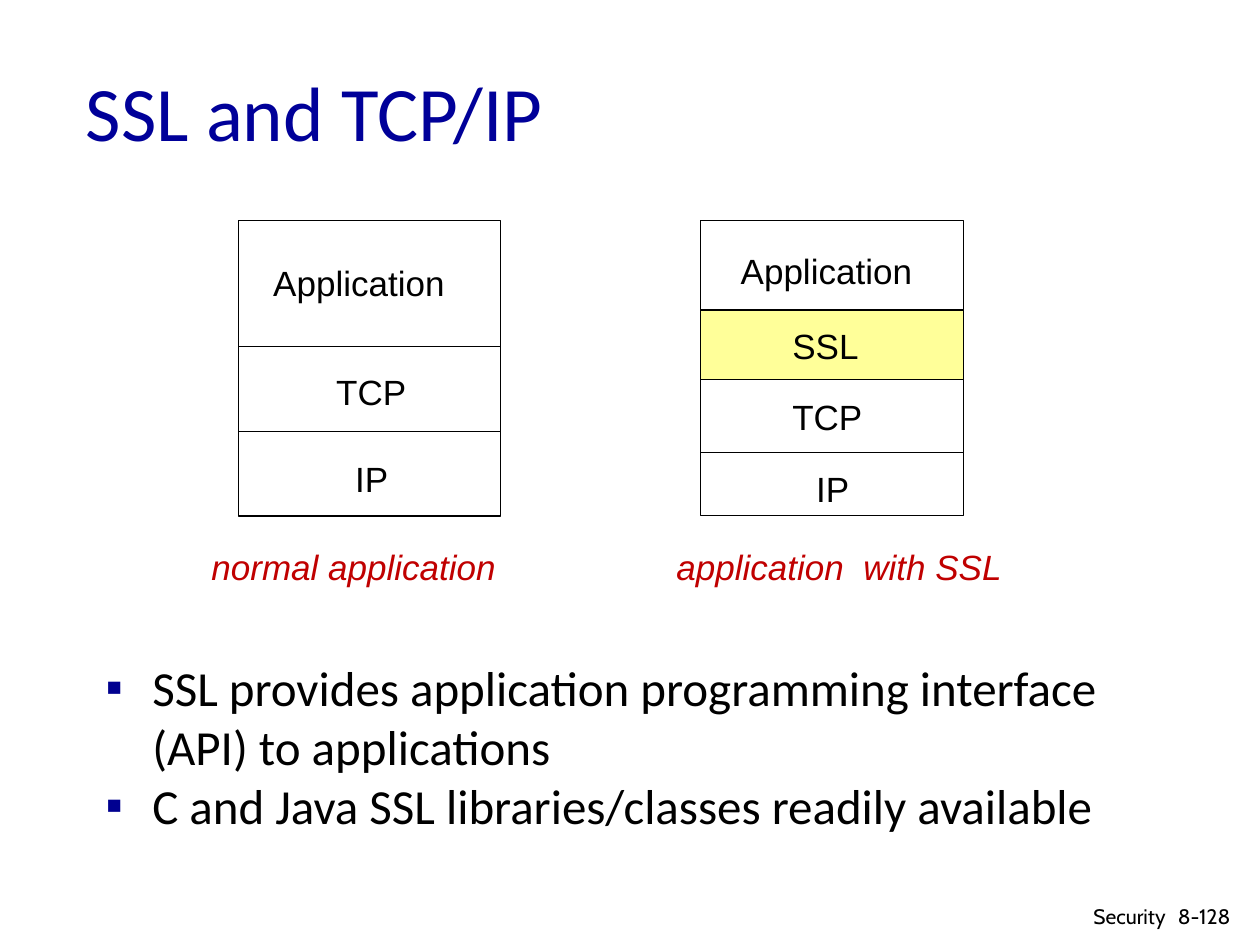
from lxml.etree import SubElement
from pptx import Presentation
from pptx.dml.color import RGBColor
from pptx.enum.shapes import MSO_SHAPE as Shape
from pptx.enum.text import MSO_ANCHOR as Anchor, PP_ALIGN as Align
from pptx.oxml.ns import qn
from pptx.util import Inches, Pt

deck = Presentation()
deck.slide_width, deck.slide_height = Inches(10), Inches(7.5)
COL, ROW = deck.slide_width / 100, deck.slide_height / 75
slide = deck.slides.add_slide(deck.slide_layouts[5])


def cells(left, top, width, height):
    return int(left * COL), int(top * ROW), int(width * COL), int(height * ROW)


def write(frame, lines, color, wrap=True, align=Align.LEFT, **style):
    frame.word_wrap = wrap
    for number, line in enumerate(lines):
        paragraph = frame.add_paragraph() if number else frame.paragraphs[0]
        paragraph.alignment = align
        run = paragraph.add_run()
        run.text = line
        run.font.color.rgb = RGBColor.from_string(color)
        for attribute, value in style.items():
            setattr(run.font, attribute, value)


heading = slide.shapes.title
heading.left, heading.top, heading.width, heading.height = cells(5.8, 2.5, 85, 12.5)
heading.text_frame.vertical_anchor = Anchor.MIDDLE
write(heading.text_frame, ["SSL and TCP/IP"], "000099", name="Calibri", size=Pt(44))

layer_style = {"name": "Arial", "size": Pt(20)}
STACK_TOP = 17.5
stacks = [
    (18.9, 20.8, ("normal application", 15.8, 25.4, False), [
        ("Application", 10, 20.7, 2.8, 15.8, None),
        ("TCP", 6.75, 25.7, 1.4, 7.6, None),
        ("IP", 6.7, 27.2, 1.6, 4.7, None),
    ]),
    (55.6, 20.9, ("application  with SSL", 52.7, 28.8, True), [
        ("Application", 7.1, 57.8, 1.8, 15.8, None),
        ("SSL", 5.5, 61.9, 0.7, 7.4, "FFFF99"),
        ("TCP", 5.8, 61.9, 0.8, 7.7, None),
        ("IP", 5, 63.8, 0.7, 4.7, None),
    ]),
]

for left, width, (caption, caption_left, caption_width, wrap), layers in stacks:
    stack = slide.shapes.add_group_shape().shapes
    top = STACK_TOP
    for layer, height, label_left, label_drop, label_width, fill in layers:
        block = stack.add_shape(Shape.RECTANGLE, *cells(left, top, width, height))
        block.shadow.inherit = False
        block.line.color.rgb = RGBColor.from_string("000000")
        block.line.width = Pt(0.75)
        if fill:
            block.fill.solid()
            block.fill.fore_color.rgb = RGBColor.from_string(fill)
        else:
            block.fill.background()
        label = stack.add_textbox(*cells(label_left, top + label_drop, label_width, 4.4))
        write(label.text_frame, [layer], "000000", wrap=False, **layer_style)
        top += height
    note = stack.add_textbox(*cells(caption_left, 42.8, caption_width, 4.4))
    write(note.text_frame, [caption], "C00000", wrap=wrap, italic=True, **layer_style)

points = slide.shapes.add_textbox(*cells(7.4, 51.7, 84.2, 15.2)).text_frame
write(points, [
    "SSL provides application programming interface (API) to applications",
    "C and Java SSL libraries/classes readily available",
], "000000", name="Calibri", size=Pt(28))
indent = int(3.7 * COL)
for point in points.paragraphs:
    properties = point._p.get_or_add_pPr()
    properties.set("marL", str(indent))
    properties.set("indent", str(-indent))
    bullet_color = SubElement(properties, qn("a:buClr"))
    SubElement(bullet_color, qn("a:srgbClr"), val="000090")
    SubElement(properties, qn("a:buFont"), typeface="Arial")
    SubElement(properties, qn("a:buChar"), char="▪")

for footer, left, width, height, align in [
    ("8-128", 92.5, 7.5, 3, Align.LEFT),
    ("Security", 85.6, 7.9, 2.8, Align.RIGHT),
]:
    corner = slide.shapes.add_textbox(*cells(left, 71.2, width, height))
    write(corner.text_frame, [footer], "000000", align=align, name="Cabin", size=Pt(12))

deck.save("out.pptx")
